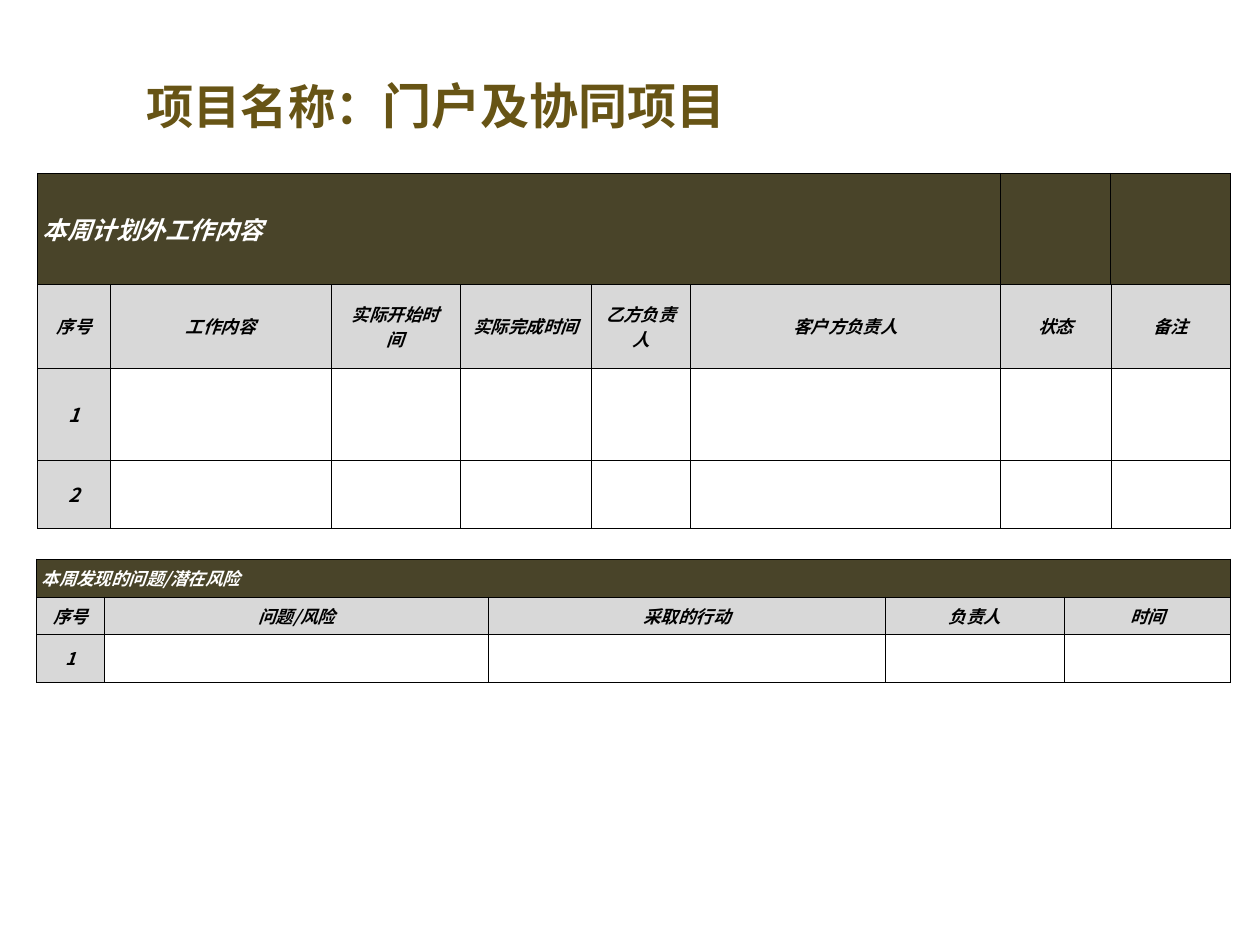
"""Builds a weekly status slide with an unplanned work table and a risk table."""
from dataclasses import dataclass

from lxml import etree
from pptx import Presentation
from pptx import util as u
from pptx.dml.color import RGBColor
from pptx.enum import text
from pptx.oxml import ns


@dataclass(frozen=True)
class Theme:
    face: str = "Noto Sans CJK SC"
    gold: str = "675415"
    dark: str = "494429"
    gray: str = "D8D8D8"
    white: str = "FFFFFF"
    black: str = "000000"
    lead: float = 27
    title: float = 28
    band: float = 14
    count: float = 11
    body: float = 10
    thin: float = 0.23
    thick: float = 0.45


class Deck:
    def __init__(self, theme, slide):
        self.theme, self.slide = theme, slide

    def label(self, para, words, size, color, italic=False):
        run = para.add_run()
        run.text = words
        form = {"name": self.theme.face, "size": u.Pt(size), "bold": True, "italic": italic}
        for key, value in form.items():
            setattr(run.font, key, value)
        run.font.color.rgb = RGBColor.from_string(color)
        east = etree.SubElement(run._r.get_or_add_rPr(), ns.qn("a:ea"))
        east.set("typeface", self.theme.face)

    def title(self, box, parts):
        frame = self.slide.shapes.add_textbox(*map(u.Cm, box)).text_frame
        form = {"word_wrap": True, "vertical_anchor": text.MSO_ANCHOR.MIDDLE}
        for key, value in form.items():
            setattr(frame, key, value)
        for words, size in parts:
            self.label(frame.paragraphs[0], words, size, self.theme.gold)

    def edge(self, cell, widths):
        props = cell._tc.get_or_add_tcPr()
        for spot, (side, width) in enumerate(widths.items()):
            line = etree.Element(ns.qn("a:ln" + side), w=str(int(u.Pt(width))))
            fill = etree.SubElement(line, ns.qn("a:solidFill"))
            etree.SubElement(fill, ns.qn("a:srgbClr"), val=self.theme.black)
            props.insert(spot, line)

    def cell(self, cell, words, size, fill, color, band):
        form = {"vertical_anchor": text.MSO_ANCHOR.MIDDLE}
        if band:
            form["margin_left"] = u.Cm(0.1)
        elif not words:
            form.update(margin_top=0, margin_bottom=0)
        for key, value in form.items():
            setattr(cell, key, value)
        cell.fill.solid()
        cell.fill.fore_color.rgb = RGBColor.from_string(fill)
        if words:
            para = cell.text_frame.paragraphs[0]
            para.alignment = text.PP_ALIGN.LEFT if band else text.PP_ALIGN.CENTER
            self.label(para, words, size, color, True)

    def table(self, left, top, cols, rows, band, span, heads, sizes):
        t = self.theme
        grid = self.slide.shapes.add_table(
            len(rows), len(cols), *map(u.Cm, (left, top, sum(cols), sum(rows)))).table
        for key in ("first_row", "horz_banding"):
            setattr(grid, key, False)
        for col, width in zip(grid.columns, cols):
            col.width = u.Cm(width)
        for row, height in zip(grid.rows, rows):
            row.height = u.Cm(height)
        grid.cell(0, 0).merge(grid.cell(0, span - 1))
        end, last = len(rows) - 1, len(cols) - 1
        for r in range(len(rows)):
            for c in range(len(cols)):
                cell = grid.cell(r, c)
                if r == 0:
                    words, fill = band if c == 0 else "", t.dark
                elif r == 1:
                    words, fill = heads[c], t.gray
                else:
                    words, fill = (str(r - 1), t.gray) if c == 0 else ("", t.white)
                color = t.white if r == 0 else t.black
                self.cell(cell, words, sizes[min(r, 2)], fill, color, r == 0)
                outer = {"L": r == 0 or c == 0, "R": r == 0 or c == last,
                         "T": r == 0, "B": r == end}
                self.edge(cell, {side: t.thick if wide else t.thin
                                 for side, wide in outer.items()})


def main():
    deck = Presentation()
    deck.slide_width, deck.slide_height = u.Cm(25.4), u.Cm(19.05)
    t = Theme()
    page = Deck(t, deck.slides.add_slide(deck.slide_layouts[6]))
    page.title((2.7, 1.12, 21.4, 2), [("项目名称：", t.lead), ("门户及协同项目", t.title)])
    page.table(
        0.76, 3.49, (1.47, 4.44, 2.6, 2.65, 2, 6.25, 2.22, 2.42), (2.24, 1.69, 1.85, 1.39),
        "本周计划外工作内容", 6,
        ("序号", "工作内容", "实际开始时间", "实际完成时间", "乙方负责人", "客户方负责人", "状态", "备注"),
        (t.band, t.body, t.count))
    page.table(
        0.74, 11.27, (1.37, 7.74, 8, 3.61, 3.35), (0.76, 0.75, 0.97),
        "本周发现的问题/潜在风险", 5,
        ("序号", "问题/风险", "采取的行动", "负责人", "时间"),
        (t.body, t.body, t.body))
    deck.save("out.pptx")


if __name__ == "__main__":
    main()
